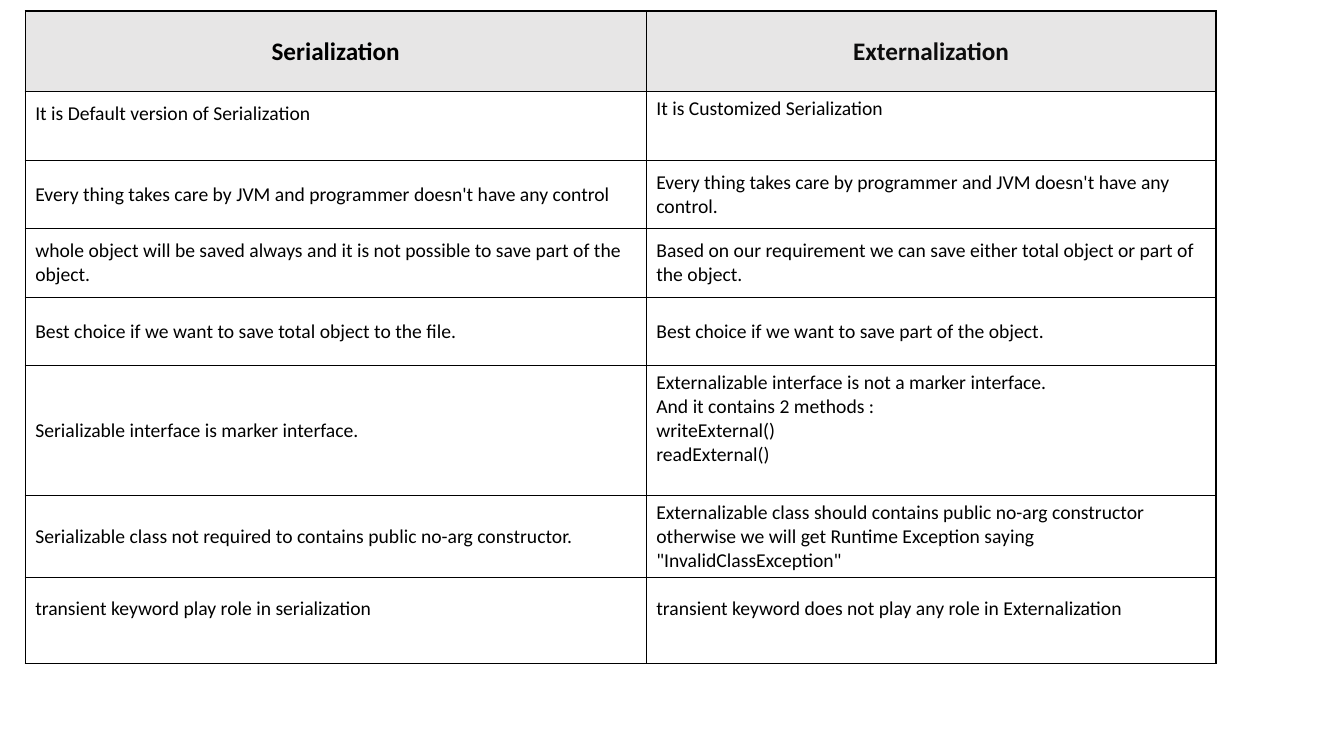
from lxml.etree import SubElement
from pptx import Presentation
from pptx.dml.color import RGBColor
from pptx.enum.text import MSO_ANCHOR as Anchor, PP_ALIGN as Align
from pptx.oxml.ns import qn
from pptx.util import Inches, Pt

BLACK = RGBColor(0x00, 0x00, 0x00)
NEAR_BLACK = RGBColor(0x0D, 0x0D, 0x0D)
HEADER_GREY = RGBColor(0xE7, 0xE6, 0xE6)

COLUMN_WIDTHS = [6.16, 5.65]
ROW_HEIGHTS = [0.8, 0.68, 0.68, 0.68, 0.68, 1.29, 0.81, 0.85]
RAISED_MARGIN = 0.29

HEADERS = [("Serialization", BLACK), ("Externalization", NEAR_BLACK)]
COMPARISON = [
    ("It is Default version of Serialization",
     "It is Customized Serialization"),
    ("Every thing takes care by JVM and programmer doesn't have any control",
     "Every thing takes care by programmer and JVM doesn't have any control."),
    ("whole object will be saved always and it is not possible to save part of the object.",
     "Based on our requirement we can save either total object or part of the object."),
    ("Best choice if we want to save total object to the file.",
     "Best choice if we want to save part of the object."),
    ("Serializable interface is marker interface.",
     "Externalizable interface is not a marker interface.\n"
     "And it contains 2 methods :\nwriteExternal()\vreadExternal()"),
    ("Serializable class not required to contains public no-arg constructor.",
     "Externalizable class should contains public no-arg constructor otherwise "
     "we will get Runtime Exception saying \"InvalidClassException\""),
    ("transient keyword play role in serialization",
     "transient keyword does not play any role in Externalization"),
]
RAISED_CELLS = {(1, 0), (5, 1), (7, 0), (7, 1)}
TOP_CELLS = {(1, 1)}


def write_text(cell, text, size=14, bold=False, color=BLACK, align=Align.LEFT,
               anchor=Anchor.MIDDLE, bottom=0.05):
    """Write formatted text into a table cell."""
    cell.text = text
    cell.vertical_anchor = anchor
    cell.margin_bottom = Inches(bottom)
    for paragraph in cell.text_frame.paragraphs:
        paragraph.alignment = align
        for run in paragraph.runs:
            font = run.font
            font.name = "Calibri"
            font.size = Pt(size)
            font.bold = bold
            font.color.rgb = color


def draw_borders(cell, color=BLACK, width=1):
    """Draw a solid line on the four sides of a cell."""
    properties = cell._tc.get_or_add_tcPr()
    for position, side in enumerate(("lnL", "lnR", "lnT", "lnB")):
        line = SubElement(properties, qn(f"a:{side}"), w=str(Pt(width)))
        fill = SubElement(line, qn("a:solidFill"))
        SubElement(fill, qn("a:srgbClr"), val=str(color))
        properties.insert(position, line)


def add_comparison_table(slide, left, top):
    """Place the comparison table with its top left corner at the given point."""
    table = slide.shapes.add_table(
        len(ROW_HEIGHTS), len(COLUMN_WIDTHS), Inches(left), Inches(top),
        Inches(sum(COLUMN_WIDTHS)), Inches(sum(ROW_HEIGHTS))).table
    table.first_row = False
    table.horz_banding = False
    for column, width in zip(table.columns, COLUMN_WIDTHS):
        column.width = Inches(width)
    for row, height in zip(table.rows, ROW_HEIGHTS):
        row.height = Inches(height)

    for column_index, (text, color) in enumerate(HEADERS):
        cell = table.cell(0, column_index)
        write_text(cell, text, size=18, bold=True, color=color, align=Align.CENTER)
        cell.fill.solid()
        cell.fill.fore_color.rgb = HEADER_GREY

    for row_index, texts in enumerate(COMPARISON, start=1):
        for column_index, text in enumerate(texts):
            place = (row_index, column_index)
            cell = table.cell(*place)
            write_text(cell, text,
                       anchor=Anchor.TOP if place in TOP_CELLS else Anchor.MIDDLE,
                       bottom=RAISED_MARGIN if place in RAISED_CELLS else 0.05)
            cell.fill.background()

    for cell in table.iter_cells():
        draw_borders(cell)


def main():
    """Build the slide and save the presentation."""
    presentation = Presentation()
    presentation.slide_width = Inches(13.33)
    presentation.slide_height = Inches(7.5)
    slide = presentation.slides.add_slide(presentation.slide_layouts[6])
    add_comparison_table(slide, 0.25, 0.11)
    presentation.save("out.pptx")


if __name__ == "__main__":
    main()
